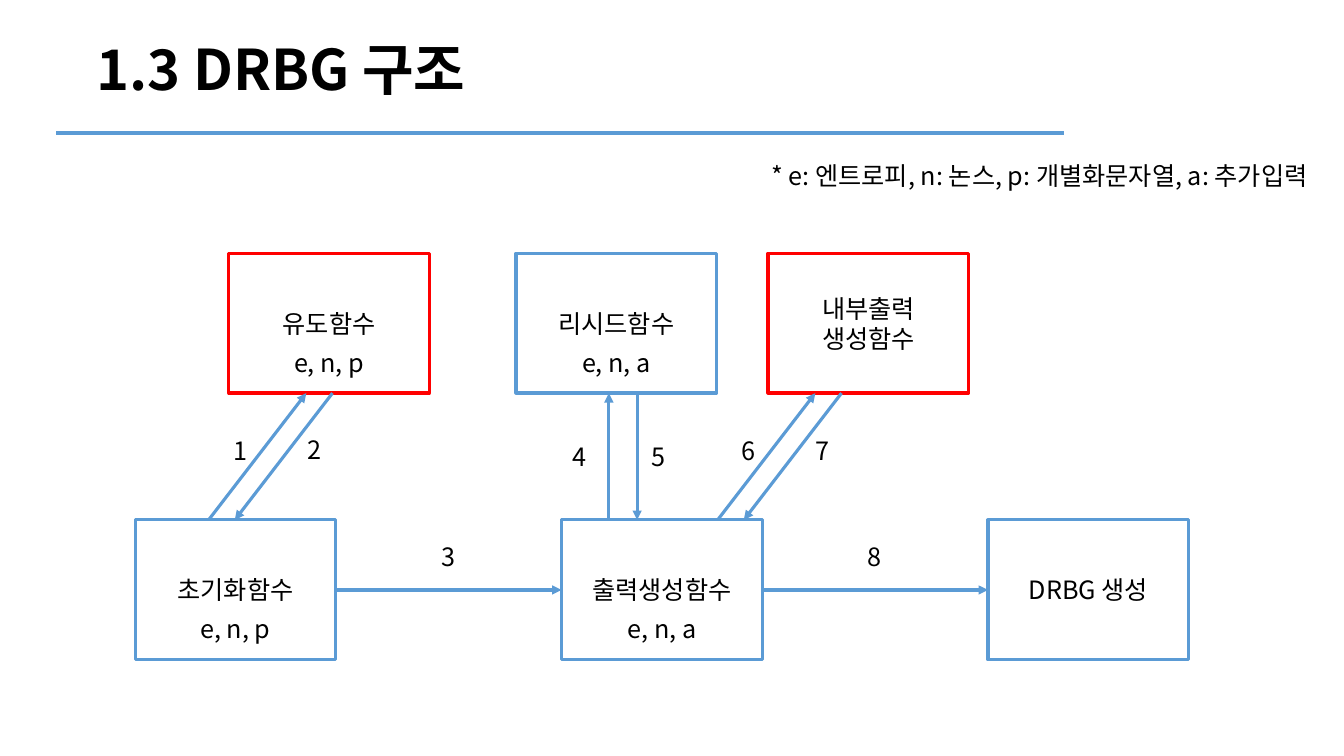
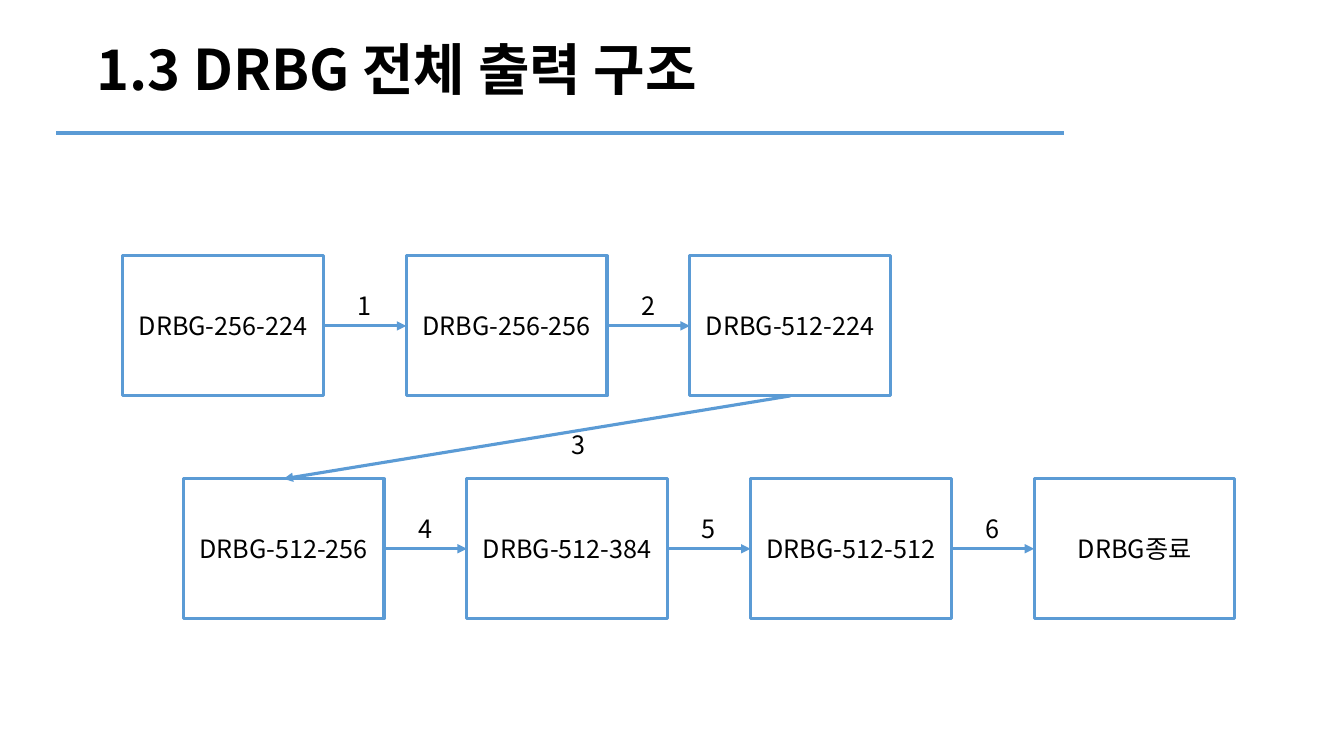
from lxml import etree
from pptx import Presentation
from pptx.dml.color import RGBColor
from pptx.enum.shapes import MSO_CONNECTOR, MSO_SHAPE
from pptx.enum.text import MSO_ANCHOR, PP_ALIGN
from pptx.oxml.ns import qn
from pptx.util import Pt

LINE, RECT = MSO_CONNECTOR.STRAIGHT, MSO_SHAPE.RECTANGLE
TOP, MIDDLE = MSO_ANCHOR.TOP, MSO_ANCHOR.MIDDLE
LEFT, CENTER, RIGHT = PP_ALIGN.LEFT, PP_ALIGN.CENTER, PP_ALIGN.RIGHT

# Connection sites of a rectangle
S_TOP, S_LEFT, S_BASE, S_RIGHT = range(4)

BLUE, RED, BLACK = "5B9BD5", "FF0000", "000000"
BOX_W, BOX_H = 143.4, 100


def color(code):
    return RGBColor.from_string(code)


class Deck:
    """Shared style and the current slide."""

    font = "Noto Sans CJK KR"

    def __init__(self):
        self.prs = Presentation()
        self.prs.slide_width, self.prs.slide_height = Pt(960), Pt(540)
        self.slide = None

    def page(self, title):
        self.slide = self.prs.slides.add_slide(self.prs.slide_layouts[6])
        self.line((40.3, 95.2), (760.3, 95.2), 3)
        self.text(title, 61.9, 21, 882, 55.3, size=40, bold=True, anchor=MIDDLE)

    def words(self, frame, text, align, size=18, bold=False):
        for i, row in enumerate(text.split("\n")):
            para = frame.paragraphs[0] if i == 0 else frame.add_paragraph()
            para.alignment = align
            run = para.add_run()
            run.text = row
            run.font.name, run.font.size = self.font, Pt(size)
            run.font.bold = bold
            run.font.color.rgb = color(BLACK)
            east = etree.SubElement(run.font._element, qn("a:ea"))
            east.set("typeface", self.font)

    def text(self, text, x, y, w, h=28.8, align=LEFT, size=18, bold=False,
             anchor=TOP, wrap=True):
        frame = self.slide.shapes.add_textbox(Pt(x), Pt(y), Pt(w), Pt(h)).text_frame
        frame.word_wrap, frame.vertical_anchor = wrap, anchor
        self.words(frame, text, align, size, bold)

    def mark(self, text, x, y):
        self.text(text, x, y, 24.5, wrap=False)

    def box(self, text, x, y, note="", edge=BLUE):
        box = self.slide.shapes.add_shape(RECT, Pt(x), Pt(y), Pt(BOX_W), Pt(BOX_H))
        box.shadow.inherit = False
        box.fill.background()
        box.line.color.rgb, box.line.width = color(edge), Pt(2.25)
        box.text_frame.word_wrap = True
        box.text_frame.vertical_anchor = MIDDLE
        self.words(box.text_frame, text, CENTER)
        if note:
            self.text(note, x, y + 63.4, BOX_W, align=CENTER)
        return box

    def line(self, start, end, width=2.25):
        points = [Pt(v) for v in (*start, *end)]
        line = self.slide.shapes.add_connector(LINE, *points)
        line.line.color.rgb, line.line.width = color(BLUE), Pt(width)
        etree.SubElement(line._element.spPr, qn("a:effectLst"))
        return line

    def arrow(self, start, end):
        line = self.line(start, end)
        stroke = line._element.spPr.find(qn("a:ln"))
        etree.SubElement(stroke, qn("a:tailEnd")).set("type", "triangle")
        return line

    def join(self, one, two, out=S_RIGHT, into=S_LEFT):
        line = self.arrow((0, 0), (0, 0))
        line.begin_connect(one, out)
        line.end_connect(two, into)


def build_parts(deck):
    deck.page("1.3 DRBG 구조")
    deck.text("* e: 엔트로피, n: 논스, p: 개별화문자열, a: 추가입력",
              507.6, 110.9, 433.4, align=RIGHT, wrap=False)

    # Helper functions above, main flow below
    high, low, left, step = 180.8, 371.4, 96.5, 304.6
    deck.box("유도함수", 163.4, high, "e, n, p", RED)
    deck.box("리시드함수", 368.6, high, "e, n, a")
    deck.box("내부출력\n생성함수", 548.6, high, edge=RED)
    flow = [deck.box(name, left + i * step, low, note)
            for i, (name, note) in enumerate([("초기화함수", "e, n, p"),
                                              ("출력생성함수", "e, n, a"),
                                              ("DRBG 생성", "")])]
    for i, num in enumerate("38"):
        deck.join(flow[i], flow[i + 1])
        deck.mark(num, 308.2 + i * step, 383)

    # Call and return pairs: foot x, lean, gap, label places
    base = high + BOX_H
    for foot, lean, gap, marks in [
            (149, 69.8, 18.7, [("1", 159.8, 307.4), ("2", 212.4, 306.7)]),
            (434.9, 0, 20.2, [("4", 401.8, 311.8), ("5", 458.6, 311.8)]),
            (512.6, 69.8, 18.7, [("6", 522.7, 307.4), ("7", 575.3, 307.4)])]:
        deck.arrow((foot, low), (foot + lean, base))
        deck.arrow((foot + gap + lean, base), (foot + gap, low))
        for spot in marks:
            deck.mark(*spot)


def build_order(deck):
    deck.page("1.3 DRBG 전체 출력 구조")
    step, rows = 202.6, []
    for names, nums, left, top in [
            (("DRBG-256-224", "DRBG-256-256", "DRBG-512-224"), "12", 87.6, 182.8),
            (("DRBG-512-256", "DRBG-512-384", "DRBG-512-512", "DRBG종료"),
             "456", 130.9, 342)]:
        row = [deck.box(name, left + i * step, top) for i, name in enumerate(names)]
        for i, num in enumerate(nums):
            deck.join(row[i], row[i + 1])
            deck.mark(num, left + 160.7 + i * step, top + 21)
        rows.append(row)

    # Step from the first row to the second
    deck.join(rows[0][-1], rows[1][0], S_BASE, S_TOP)
    deck.mark("3", 401, 303.1)


def main():
    deck = Deck()
    build_parts(deck)
    build_order(deck)
    deck.prs.save("out.pptx")


if __name__ == "__main__":
    main()
